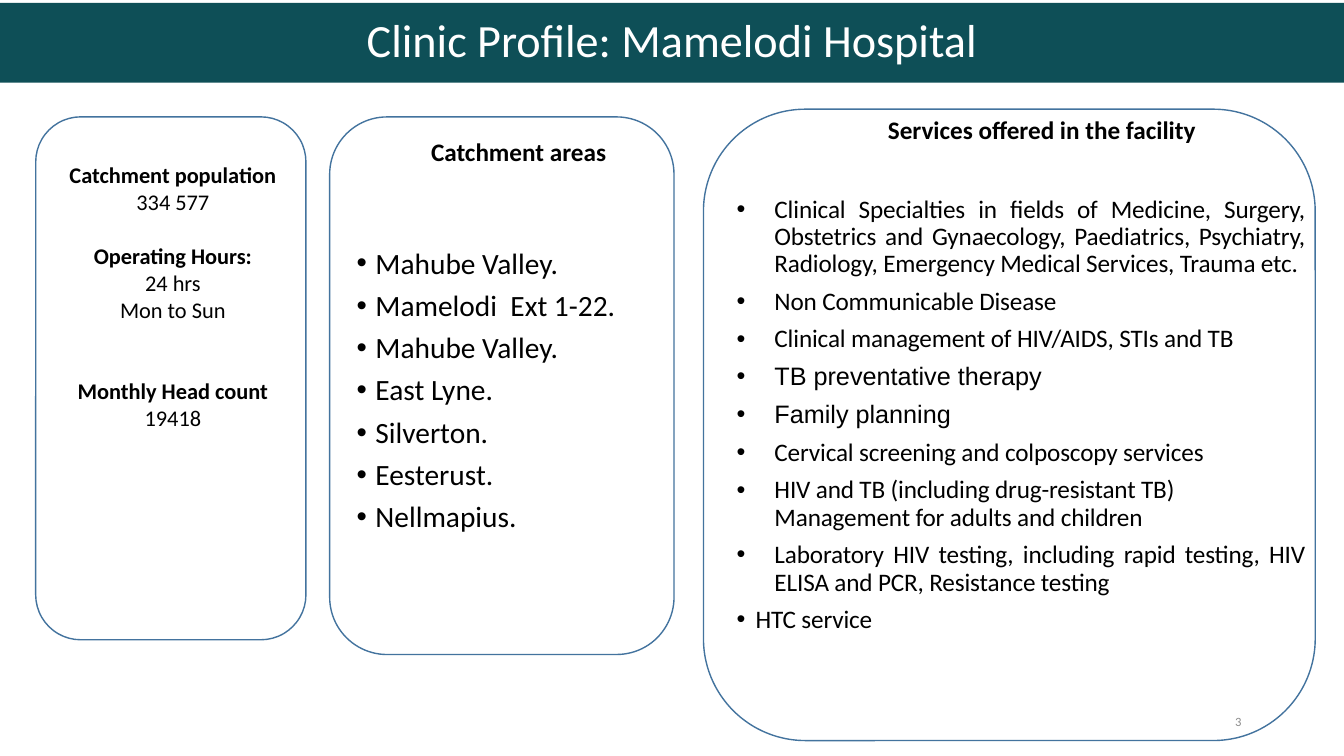
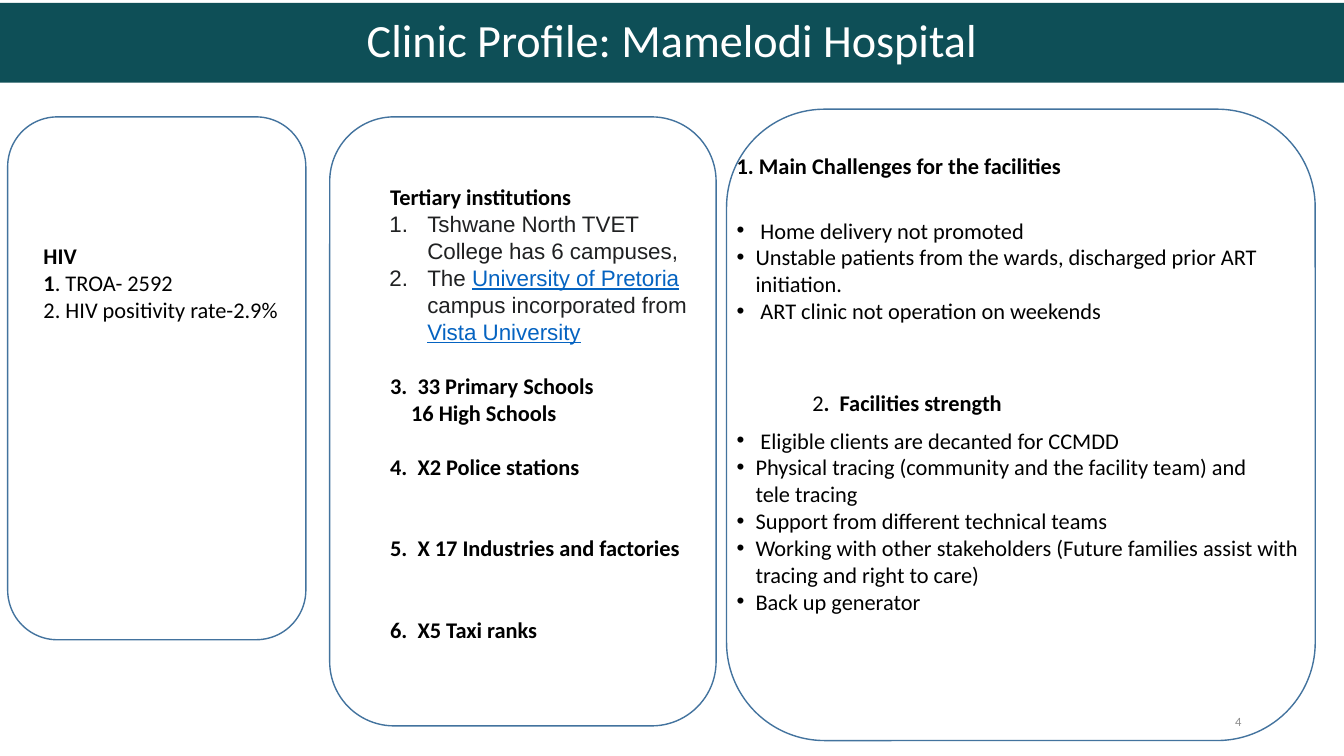
from dataclasses import dataclass
from typing import Optional, Union

import pptx
import pptx.dml.color
import pptx.enum.dml
import pptx.enum.shapes
import pptx.enum.text
import pptx.oxml
import pptx.oxml.ns
import pptx.util

Pt = pptx.util.Pt
ALIGN = pptx.enum.text.PP_ALIGN
ANCHOR = pptx.enum.text.MSO_ANCHOR

BAND, OUTLINE, BLACK, WHITE = "0E4F57", "43739E", "000000", "FFFFFF"
GREY, INK, LINK = "8C8C8C", "202122", "0563C1"
TITLE = "Clinic Profile: Mamelodi Hospital"
ROW = 19.5  # height of one 16 pt line
TWO_CONTENT = 3


@dataclass
class Run:
    text: str
    bold: Optional[bool] = None
    color: Optional[str] = None
    underline: bool = False


@dataclass
class Line:
    """One paragraph; bullet is None, "•" or "1." for automatic numbers."""
    content: Union[str, list]
    size: float = 16
    font: str = "Calibri"
    color: str = BLACK
    bold: bool = False
    align: ALIGN = ALIGN.LEFT
    before: float = 0
    spacing: float = 1
    bullet: Optional[str] = None
    margin: float = 0
    hanging: float = 0
    tracking: int = 0


def rgb(value):
    return pptx.dml.color.RGBColor.from_string(value)


def set_bullet(paragraph, line):
    properties = paragraph._p.get_or_add_pPr()
    properties.set("marL", str(Pt(line.margin)))
    properties.set("indent", str(-Pt(line.hanging)))
    namespace = pptx.oxml.ns.nsdecls("a")
    if line.bullet is None:
        marks = ["<a:buNone %s/>"]
    elif line.bullet == "1.":
        marks = ['<a:buFont %s typeface="+mj-lt"/>', '<a:buAutoNum %s type="arabicPeriod"/>']
    else:
        marks = ['<a:buFont %s typeface="Arial"/>', '<a:buChar %s char="•"/>']
    for mark in marks:
        properties.append(pptx.oxml.parse_xml(mark % namespace))


def format_run(run, line, style):
    font = run.font
    font.name, font.size = line.font, Pt(line.size)
    font.bold = line.bold if style.bold is None else style.bold
    font.color.rgb = rgb(style.color or line.color)
    if style.underline:
        font.underline = True
    if line.tracking:
        font._element.set("spc", str(line.tracking))


def write_lines(frame, lines):
    frame.word_wrap = True
    frame.auto_size = pptx.enum.text.MSO_AUTO_SIZE.NONE
    for index, line in enumerate(lines):
        paragraph = frame.add_paragraph() if index else frame.paragraphs[0]
        paragraph.alignment = line.align
        paragraph.line_spacing = line.spacing
        paragraph.space_before, paragraph.space_after = Pt(line.before), Pt(0)
        set_bullet(paragraph, line)
        if isinstance(line.content, str):
            paragraph.text = line.content
            for run in paragraph.runs:
                format_run(run, line, Run(""))
        else:
            for style in line.content:
                run = paragraph.add_run()
                run.text = style.text
                format_run(run, line, style)


def place(shape, box):
    shape.left, shape.top, shape.width, shape.height = map(Pt, box)


def fill_body(placeholder, box, lines):
    place(placeholder, box)
    placeholder.text_frame.vertical_anchor = ANCHOR.TOP
    write_lines(placeholder.text_frame, lines)


def add_text(slide, box, lines):
    shape = slide.shapes.add_textbox(*map(Pt, box))
    write_lines(shape.text_frame, lines)
    return shape


def add_outline(slide, box):
    shape = slide.shapes.add_shape(
        pptx.enum.shapes.MSO_SHAPE.ROUNDED_RECTANGLE, *map(Pt, box))
    shape.shadow.inherit = False
    shape.fill.background()
    shape.line.color.rgb = rgb(OUTLINE)
    shape.line.width = Pt(1)


def add_title_band(slide):
    title = slide.shapes.title
    place(title, (0, 2, 960, 57))
    title.fill.solid()
    title.fill.fore_color.rgb = rgb(BAND)
    title.text_frame.vertical_anchor = ANCHOR.MIDDLE
    write_lines(title.text_frame, [
        Line(TITLE, size=33, color=WHITE, align=ALIGN.CENTER, spacing=0.9)])


def add_slide_number(slide, number):
    shape = add_text(slide, (678, 500.5, 216, 29),
                     [Line(str(number), size=9, color=GREY, align=ALIGN.RIGHT)])
    shape.text_frame.vertical_anchor = ANCHOR.MIDDLE


def add_profile_slide(presentation, number, panels, left, middle, right):
    """left, middle and right are each a text box and its lines."""
    slide = presentation.slides.add_slide(presentation.slide_layouts[TWO_CONTENT])
    add_title_band(slide)
    fill_body(slide.placeholders[1], *middle)
    fill_body(slide.placeholders[2], *right)
    add_slide_number(slide, number)
    for panel in panels:
        add_outline(slide, panel)
    add_text(slide, *left)


def bullets(texts, margin=13.5, before=0.0, first_before=None, **style):
    """Bulleted lines, the first with its own gap above."""
    first = before if first_before is None else first_before
    return [Line(text, bullet="•", margin=margin, hanging=margin,
                 before=before if index else first, **style)
            for index, text in enumerate(texts)]


def add_services_slide(presentation):
    def fact(text, **style):
        return Line(text, align=ALIGN.CENTER, margin=24, **style)

    facts = [
        fact("Catchment population", bold=True),
        fact("334 577"),
        fact("Operating Hours:", bold=True, before=ROW),
        fact("24 hrs"),
        fact("Mon to Sun"),
        fact("Monthly Head count", bold=True, before=2 * ROW),
        fact("19418"),
    ]
    areas = [Line("Catchment areas", size=18, bold=True, align=ALIGN.CENTER)]
    areas += bullets(["Mahube Valley.", "Mamelodi  Ext 1-22.", "Mahube Valley.",
                      "East Lyne.", "Silverton.", "Eesterust.", "Nellmapius."],
                     size=21, spacing=0.9, before=7.5, first_before=59)
    common = dict(size=18, spacing=0.9, before=7.5)
    wide = dict(common, margin=27, tracking=-10)
    services = [Line("Services offered in the facility", size=18, bold=True, margin=108)]
    services += bullets([
        "Clinical Specialties in fields of Medicine, Surgery, Obstetrics and Gynaecology, "
        "Paediatrics, Psychiatry, Radiology, Emergency Medical Services, Trauma etc.",
        "Non Communicable Disease",
        "Clinical management of HIV/AIDS, STIs and TB",
    ], first_before=37, align=ALIGN.JUSTIFY, **wide)
    services += bullets(["TB preventative therapy", "Family planning"],
                        font="Arial", margin=27, **common)
    services += bullets([
        "Cervical screening and colposcopy services",
        "HIV and TB (including drug-resistant TB) Management for adults and children",
    ], **wide)
    services += bullets(["Laboratory HIV testing, including rapid testing, HIV ELISA and PCR, "
                         "Resistance testing"], align=ALIGN.JUSTIFY, **wide)
    services += bullets(["HTC service"], tracking=-10, **common)

    add_profile_slide(
        presentation, 3,
        [(502.5, 78, 437, 451), (235.5, 83.5, 246, 384), (25.5, 83.5, 193, 373.5)],
        ((13, 111.5, 197, 201), facts),
        ((247.5, 93.5, 246, 384), areas),
        ((519, 78, 420.5, 460), services))


def add_challenges_slide(presentation):
    hiv = [
        Line("HIV", bold=True, margin=24),
        Line([Run("1", bold=True), Run(". TROA- 2592")], margin=24),
        Line("2. HIV positivity rate-2.9%", margin=24),
    ]
    numbered = dict(font="Arial", color=INK, bullet="1.", margin=50.5, hanging=27)
    institutions = [
        Line("Tertiary institutions", bold=True, margin=24),
        Line("Tshwane North TVET College has 6 campuses,", **numbered),
        Line([Run("The "), Run("University of Pretoria", color=LINK, underline=True),
              Run(" campus incorporated from "),
              Run("Vista University", color=LINK, underline=True)], **numbered),
    ]
    institutions += [Line(text, bold=True, margin=margin, before=gap * ROW)
                     for text, margin, gap in [
                         ("3.  33 Primary Schools", 24, 1),
                         ("16 High Schools", 39, 0),
                         ("4.  X2 Police stations", 24, 1),
                         ("5.  X 17 Industries and factories", 24, 2),
                         ("6.  X5 Taxi ranks", 24, 2)]]
    review = [Line("1. Main Challenges for the facilities", bold=True)]
    review += bullets(["Home delivery not promoted"], margin=17, before=27)
    review += bullets(["Unstable patients from the wards, discharged prior ART initiation."])
    review += bullets(["ART clinic not operation on weekends"], margin=17)
    review += [Line([Run("2", bold=False), Run(".  Facilities strength")],
                    bold=True, margin=54, before=46.5)]
    review += bullets(["Eligible clients are decanted for CCMDD"], margin=17, before=7.5)
    review += bullets([
        "Physical tracing (community and the facility team) and\vtele tracing",
        "Support from different technical teams",
        "Working with other stakeholders (Future families assist with "
        "tracing and right to care)",
        "Back up generator",
    ])

    add_profile_slide(
        presentation, 4,
        [(519, 78, 420.5, 451), (235.5, 83.5, 276, 435), (5.5, 83.5, 213, 373.5)],
        ((0, 169.5, 227, 220), hiv),
        ((247.5, 127.5, 271.5, 401), institutions),
        ((519, 105, 420.5, 433), review))


def main():
    presentation = pptx.Presentation()
    presentation.slide_width, presentation.slide_height = Pt(960), Pt(540)
    add_services_slide(presentation)
    add_challenges_slide(presentation)
    presentation.save("out.pptx")


if __name__ == "__main__":
    main()
